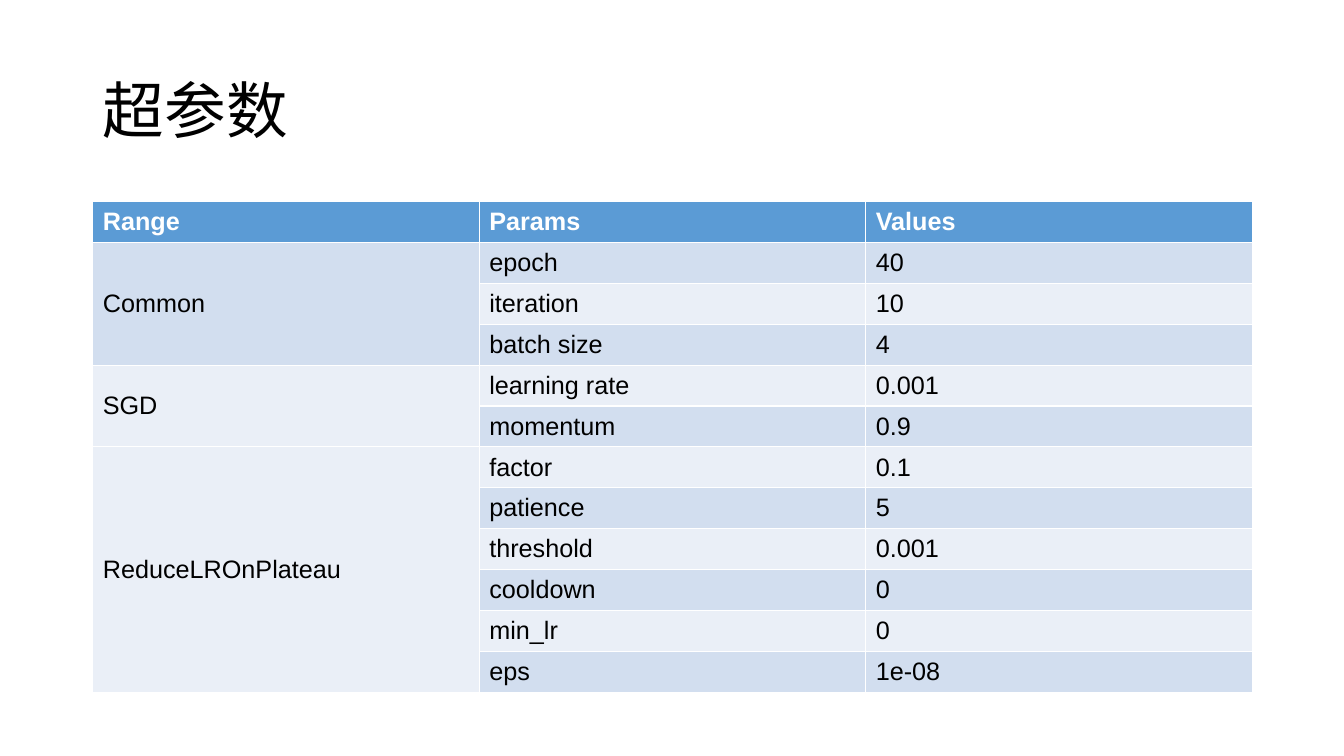
from lxml.etree import SubElement
from pptx import Presentation
from pptx.dml.color import RGBColor
from pptx.enum.text import MSO_ANCHOR, PP_ALIGN
from pptx.oxml.ns import qn
from pptx.util import Inches, Pt

WHITE = RGBColor(0xFF, 0xFF, 0xFF)
BLACK = RGBColor(0x00, 0x00, 0x00)
HEADER_BLUE = RGBColor(0x5B, 0x9B, 0xD5)
DARK_BAND = RGBColor(0xD2, 0xDE, 0xEF)
LIGHT_BAND = RGBColor(0xEA, 0xEF, 0xF7)
TITLE_FONT = "Noto Sans CJK SC"
TABLE_FONT = "Arial"

HEADINGS = ("Range", "Params", "Values")
PARAMETER_GROUPS = {
    "Common": [("epoch", "40"), ("iteration", "10"), ("batch size", "4")],
    "SGD": [("learning rate", "0.001"), ("momentum", "0.9")],
    "ReduceLROnPlateau": [
        ("factor", "0.1"),
        ("patience", "5"),
        ("threshold", "0.001"),
        ("cooldown", "0"),
        ("min_lr", "0"),
        ("eps", "1e-08"),
    ],
}


def style_title(title, text, left, top, width, height):
    """Place the title placeholder in its box and format its text."""
    title.left, title.top = Inches(left), Inches(top)
    title.width, title.height = Inches(width), Inches(height)
    title.text_frame.text = text
    title.text_frame.vertical_anchor = MSO_ANCHOR.MIDDLE
    paragraph = title.text_frame.paragraphs[0]
    paragraph.alignment = PP_ALIGN.LEFT
    paragraph.line_spacing = 0.9
    font = paragraph.runs[0].font
    font.size = Pt(44)
    font.color.rgb = BLACK
    font.name = TITLE_FONT
    run_properties = paragraph.runs[0]._r.get_or_add_rPr()
    SubElement(run_properties, qn("a:ea"), typeface=TITLE_FONT)


def fill_cell(cell, text, background, color, bold=False):
    """Write one table cell with its background and font."""
    cell.fill.solid()
    cell.fill.fore_color.rgb = background
    cell.vertical_anchor = MSO_ANCHOR.MIDDLE
    cell.text_frame.text = text
    font = cell.text_frame.paragraphs[0].font
    font.name = TABLE_FONT
    font.size = Pt(18)
    font.bold = bold
    font.color.rgb = color
    for run in cell.text_frame.paragraphs[0].runs:
        run.font.name = TABLE_FONT
        run.font.size = Pt(18)
        run.font.bold = bold
        run.font.color.rgb = color


def add_parameter_table(slide, left, top, width, height):
    """Draw the banded table, merging the range cell of each group."""
    row_count = 1 + sum(map(len, PARAMETER_GROUPS.values()))
    table = slide.shapes.add_table(
        row_count, len(HEADINGS),
        Inches(left), Inches(top), Inches(width), Inches(height),
    ).table
    for column, heading in enumerate(HEADINGS):
        fill_cell(table.cell(0, column), heading, HEADER_BLUE, WHITE, bold=True)

    row = 1
    for group, parameters in PARAMETER_GROUPS.items():
        first_row = row
        group_band = DARK_BAND if first_row % 2 else LIGHT_BAND
        for parameter, value in parameters:
            band = DARK_BAND if row % 2 else LIGHT_BAND
            range_text = group if row == first_row else ""
            fill_cell(table.cell(row, 0), range_text, group_band, BLACK)
            fill_cell(table.cell(row, 1), parameter, band, BLACK)
            fill_cell(table.cell(row, 2), value, band, BLACK)
            row += 1
        table.cell(first_row, 0).merge(table.cell(row - 1, 0))


def main():
    """Build the hyperparameter slide and save it."""
    presentation = Presentation()
    presentation.slide_width = Inches(13.33)
    presentation.slide_height = Inches(7.5)
    slide = presentation.slides.add_slide(presentation.slide_layouts[5])
    style_title(slide.shapes.title, "超参数", 0.92, 0.4, 11.5, 1.45)
    add_parameter_table(slide, 0.92, 2, 11.5, 4.87)
    presentation.save("out.pptx")


if __name__ == "__main__":
    main()
